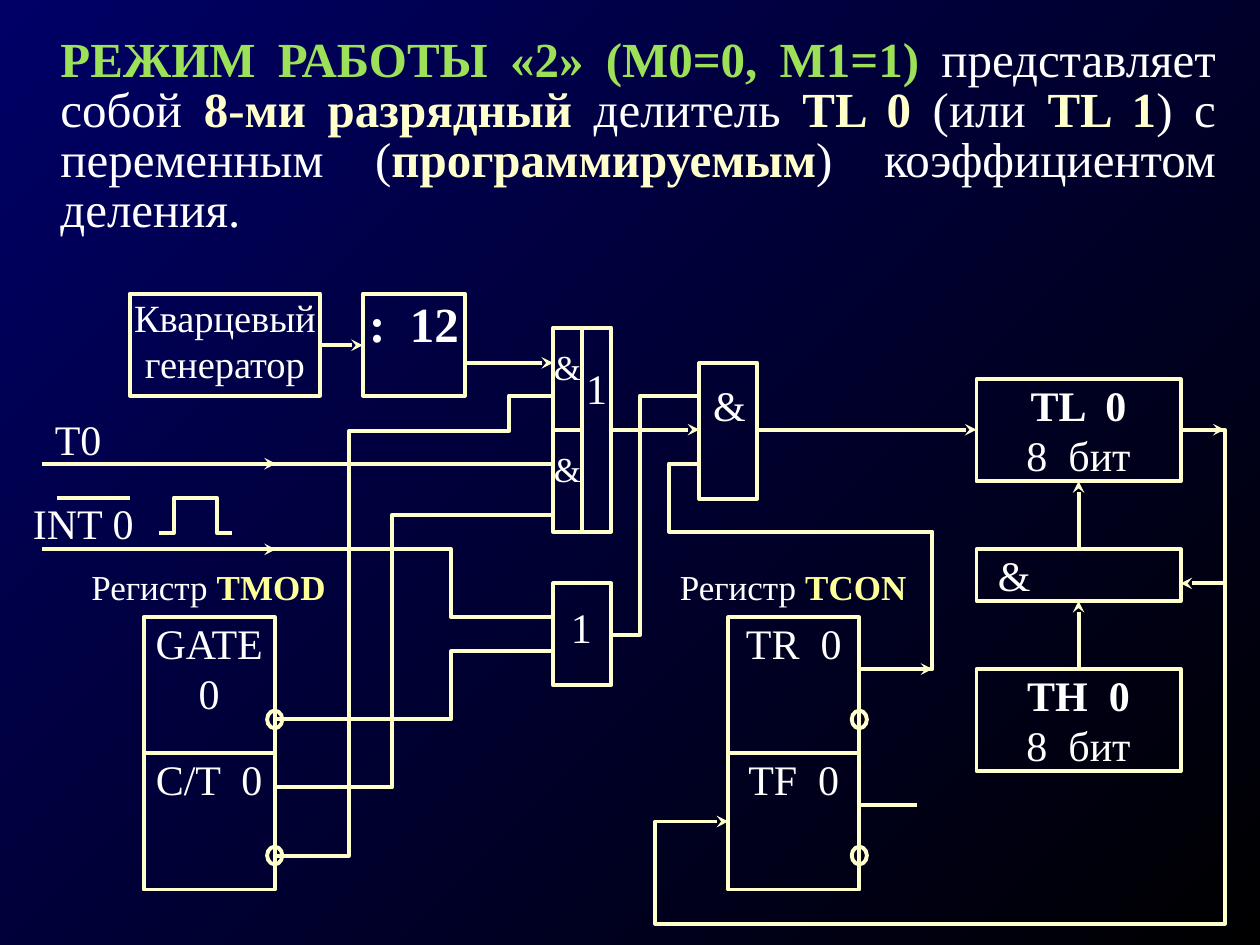
from lxml import etree
from pptx import Presentation
from pptx.dml.color import RGBColor
from pptx.enum.shapes import MSO_CONNECTOR, MSO_SHAPE
from pptx.enum.text import MSO_ANCHOR, MSO_AUTO_SIZE, PP_ALIGN
from pptx.oxml.ns import qn
from pptx.util import Inches, Pt

STRAIGHT = MSO_CONNECTOR.STRAIGHT
RECTANGLE, OVAL = MSO_SHAPE.RECTANGLE, MSO_SHAPE.OVAL
LEFT, CENTER, JUSTIFY = PP_ALIGN.LEFT, PP_ALIGN.CENTER, PP_ALIGN.JUSTIFY
TOP, NO_AUTOFIT = MSO_ANCHOR.TOP, MSO_AUTO_SIZE.NONE

NAVY = RGBColor(0x00, 0x00, 0x66)
BLACK = RGBColor(0x00, 0x00, 0x00)
WHITE = RGBColor(0xFF, 0xFF, 0xFF)
CREAM = RGBColor(0xFF, 0xFF, 0xCC)
YELLOW = RGBColor(0xFF, 0xFF, 0x99)
GREEN = RGBColor(0x9C, 0xE1, 0x57)
FONT = "Times New Roman"
LINE_WIDTH = Pt(2.25)


def write_runs(paragraph, runs, size):
    """Add (text, colour, bold) runs to a paragraph."""
    for text, color, bold in runs:
        run = paragraph.add_run()
        run.text = text
        run.font.name = FONT
        run.font.size = Pt(size)
        run.font.bold = bold
        run.font.color.rgb = color


def fill_frame(shape, lines, size, alignment=CENTER, left_margin=0):
    """Fill a shape from the top, one list of runs for each paragraph."""
    frame = shape.text_frame
    frame.word_wrap = True
    frame.auto_size = NO_AUTOFIT
    frame.vertical_anchor = TOP
    frame.margin_left = Inches(left_margin)
    frame.margin_top = frame.margin_right = frame.margin_bottom = 0
    for index, runs in enumerate(lines):
        paragraph = frame.add_paragraph() if index else frame.paragraphs[0]
        paragraph.alignment = alignment
        write_runs(paragraph, runs, size)


presentation = Presentation()
presentation.slide_width = Inches(10)
presentation.slide_height = Inches(7.5)
slide = presentation.slides.add_slide(presentation.slide_layouts[1])
shapes = slide.shapes

background = slide.background.fill
background.gradient()
background.gradient_angle = 315
for stop, color, position in zip(background.gradient_stops, (NAVY, BLACK), (0, 1)):
    stop.color.rgb = color
    stop.position = position

# Definition of the mode
title = shapes.title.element
title.getparent().remove(title)
definition = slide.placeholders[1]
definition.left, definition.top = Inches(0), Inches(0.25)
definition.width, definition.height = Inches(9.75), Inches(1.75)
definition.text_frame.auto_size = NO_AUTOFIT
definition.text_frame.vertical_anchor = TOP
paragraph = definition.text_frame.paragraphs[0]
properties = paragraph._p.get_or_add_pPr()
properties.set("marL", str(Inches(0.38)))
properties.set("indent", "0")
etree.SubElement(properties, qn("a:buNone"))
paragraph.alignment = JUSTIFY
paragraph.line_spacing = 0.85
paragraph.space_before = Pt(0)
write_runs(paragraph, [
    ("РЕЖИМ РАБОТЫ «2» (М0=0, М1=1)", GREEN, True),
    (" представляет собой ", WHITE, False),
    ("8-ми разрядный", CREAM, True),
    (" делитель ", WHITE, False),
    ("TL 0", CREAM, True),
    (" (или ", WHITE, False),
    ("TL 1", CREAM, True),
    (") с переменным (", WHITE, False),
    ("программируемым", CREAM, True),
    (") коэффициентом деления.", WHITE, False),
], 28)

# Blocks: left, top, width, height, paragraphs, text size
blocks = [
    (1.03, 2.33, 1.51, 0.81, [[("Кварцевый генератор", WHITE, False)]], 22),
    (2.88, 2.33, 0.81, 0.81, [[(":  12", WHITE, True)]], 28),
    (4.39, 2.6, 0.46, 1.62, [], 24),
    (4.39, 4.63, 0.46, 0.81, [], 24),
    (5.55, 2.88, 0.46, 1.08, [], 24),
    (7.75, 4.36, 1.62, 0.41, [[("&", WHITE, False)]], 24),
]
for name, top in (("TL  0", 3.01), ("TH  0", 5.31)):
    lines = [[(name, WHITE, True)], [("8  бит", WHITE, False)]]
    blocks.append((7.75, top, 1.62, 0.81, lines, 24))
registers = [(1.14, "TMOD", ("GATE 0", "C/T  0")), (5.78, "TCON", ("TR  0", "TF  0"))]
for left, _, bits in registers:
    for row, bit in enumerate(bits):
        blocks.append((left, 4.9 + 1.08 * row, 1.04, 1.08, [[(bit, WHITE, False)]], 24))

for left, top, width, height, lines, size in blocks:
    block = shapes.add_shape(RECTANGLE, Inches(left), Inches(top), Inches(width), Inches(height))
    block.shadow.inherit = False
    block.fill.background()
    block.line.color.rgb = CREAM
    block.line.width = LINE_WIDTH
    if height == 0.41:
        fill_frame(block, lines, size, LEFT, 0.17)
    else:
        fill_frame(block, lines, size)

# Inverted outputs of the register bits
for left, _, bits in registers:
    for row in range(len(bits)):
        circle = shapes.add_shape(OVAL, Inches(left + 0.98), Inches(5.64 + 1.08 * row),
                                  Inches(0.12), Inches(0.14))
        circle.shadow.inherit = False
        circle.fill.background()
        circle.line.color.rgb = CREAM
        circle.line.width = LINE_WIDTH

# Labels: left, top, width, runs, text size
labels = [
    (0.17, 3.95, 0.98, [("INT 0", WHITE, False)], 24),
    (0.33, 3.28, 0.58, [("T0", WHITE, False)], 24),
    (4.62, 2.88, 0.23, [("1", WHITE, False)], 24),
    (4.39, 2.74, 0.23, [("&", WHITE, False)], 20),
    (4.39, 3.55, 0.23, [("&", WHITE, False)], 20),
    (4.5, 4.77, 0.23, [("1", WHITE, False)], 24),
    (5.66, 3.01, 0.23, [("&", WHITE, False)], 24),
]
for left, register, _ in registers:
    runs = [("Регистр ", WHITE, False), (register, YELLOW, True)]
    labels.append((left - 0.47, 4.49, 1.97, runs, 20))
for left, top, width, runs, size in labels:
    label = shapes.add_textbox(Inches(left), Inches(top), Inches(width), Inches(0.41))
    fill_frame(label, [runs], size)

# Straight wires: start x, start y, end x, end y, arrowhead
wires = [
    (4.62, 2.6, 4.62, 4.23, False),
    (4.39, 3.41, 4.62, 3.41, False),
    (2.53, 2.74, 2.88, 2.74, True),
    (3.69, 2.88, 4.39, 2.88, True),
    (0.33, 3.68, 2.19, 3.68, True),
    (2.07, 3.68, 4.39, 3.68, False),
    (0.33, 4.36, 2.19, 4.36, True),
    (0.45, 3.95, 1.03, 3.95, False),
    (4.85, 3.41, 5.55, 3.41, True),
    (6.82, 5.31, 7.4, 5.31, True),
    (6.82, 6.39, 7.28, 6.39, False),
    (6.01, 3.41, 7.75, 3.41, True),
    (5.2, 6.52, 5.78, 6.52, True),
    (8.56, 4.36, 8.56, 3.82, True),
    (8.56, 5.31, 8.56, 4.77, True),
    (9.72, 4.63, 9.37, 4.63, True),
    (9.37, 3.41, 9.72, 3.41, True),
]
for start_x, start_y, end_x, end_y, has_arrow in wires:
    wire = shapes.add_connector(STRAIGHT, Inches(start_x), Inches(start_y),
                                Inches(end_x), Inches(end_y))
    wire.line.color.rgb = CREAM
    wire.line.width = LINE_WIDTH
    if has_arrow:
        etree.SubElement(wire.line._get_or_add_ln(), qn("a:tailEnd"), type="stealth")
    etree.SubElement(wire.element.spPr, qn("a:effectLst"))

# Bent wires and the pulse symbol
bent_wires = [
    [(2.19, 5.71), (3.58, 5.71), (3.58, 5.17), (4.39, 5.17)],
    [(4.39, 3.14), (4.04, 3.14), (4.04, 3.42), (2.77, 3.42), (2.77, 6.79), (2.19, 6.79)],
    [(2.19, 6.25), (3.11, 6.25), (3.11, 4.09), (4.39, 4.09)],
    [(4.39, 4.9), (3.58, 4.9), (3.58, 4.36), (2.07, 4.36)],
    [(1.26, 4.23), (1.38, 4.23), (1.38, 3.95), (1.72, 3.95), (1.72, 4.23), (1.84, 4.23)],
    [(4.85, 5.04), (5.08, 5.04), (5.08, 3.14), (5.55, 3.14)],
    [(6.82, 5.31), (7.4, 5.31), (7.4, 4.22), (5.31, 4.22), (5.31, 3.68), (5.55, 3.68)],
    [(9.37, 3.41), (9.72, 3.41), (9.72, 7.33), (5.2, 7.33), (5.2, 6.52), (5.66, 6.52)],
]
for points in bent_wires:
    start, *corners = [(Inches(x), Inches(y)) for x, y in points]
    builder = shapes.build_freeform(*start)
    builder.add_line_segments(corners, close=False)
    bent_wire = builder.convert_to_shape()
    bent_wire.shadow.inherit = False
    bent_wire.fill.background()
    bent_wire.line.color.rgb = CREAM
    bent_wire.line.width = LINE_WIDTH

presentation.save("out.pptx")
